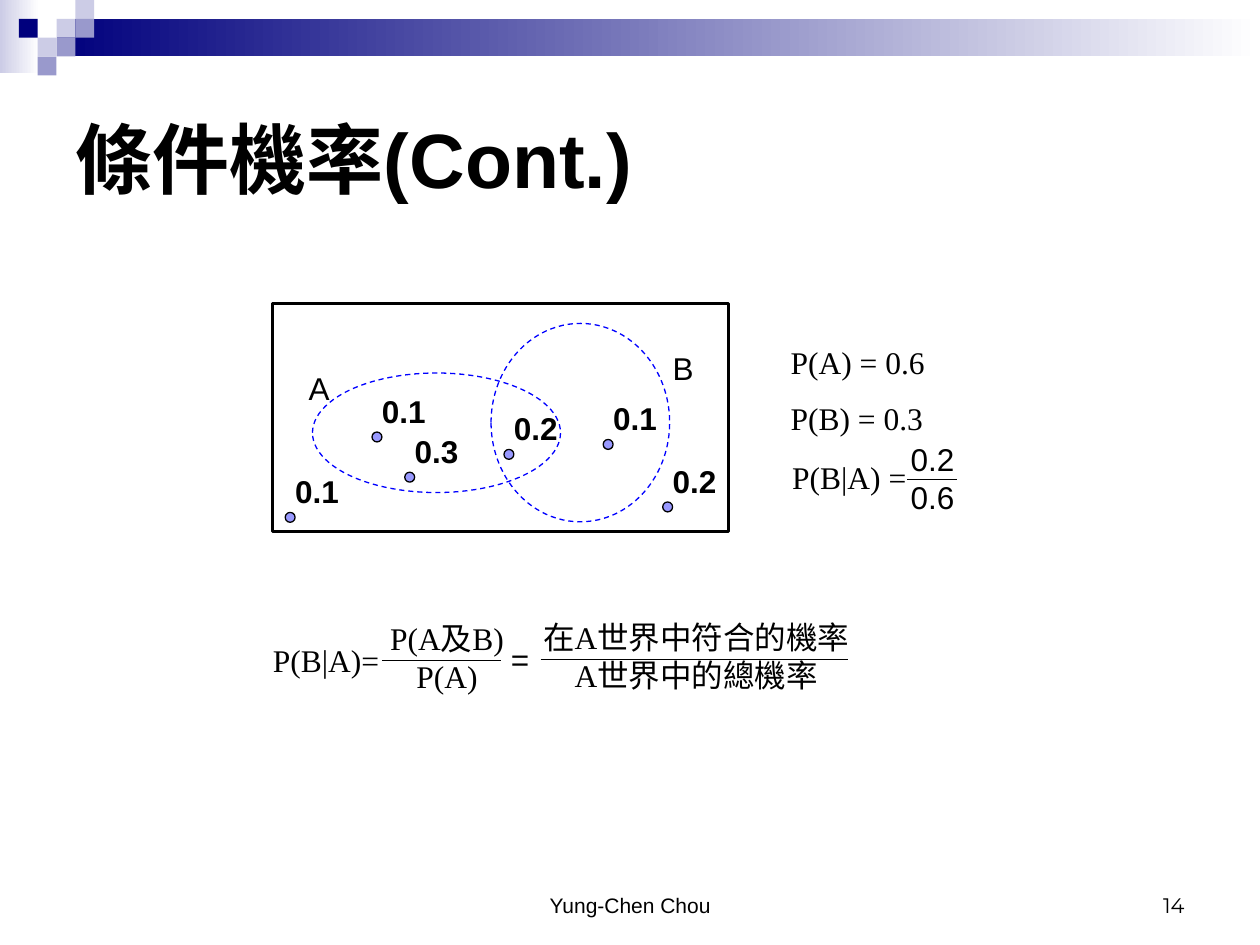
from dataclasses import dataclass

from lxml.etree import SubElement
from pptx import Presentation
from pptx.dml.color import RGBColor as Rgb
from pptx.enum.dml import MSO_LINE_DASH_STYLE as Dash
from pptx.enum.shapes import MSO_CONNECTOR as Connector, MSO_SHAPE as Shape
from pptx.enum.text import MSO_ANCHOR as Anchor, MSO_AUTO_SIZE as AutoSize, PP_ALIGN as Align
from pptx.oxml.ns import qn
from pptx.util import Cm, Pt


@dataclass(frozen=True)
class Theme:
    black: str = "000000"
    white: str = "FFFFFF"
    navy: str = "00007D"
    violet: str = "9999CC"
    lilac: str = "CCCCE6"
    dot: str = "9999FF"
    event: str = "0000FF"
    sans: str = "Arial"
    serif: str = "Times New Roman"
    number: str = "Montserrat"
    title_size: float = 44
    text_size: float = 18
    footer_size: float = 12
    frame_width: float = 1.5
    thin_width: float = 0.75


THEME = Theme()


@dataclass(frozen=True)
class Box:
    """A rectangle in centimetres."""
    left: float
    top: float
    width: float
    height: float = 1.02

    def lengths(self) -> list:
        return [Cm(value) for value in (self.left, self.top, self.width, self.height)]


@dataclass(frozen=True)
class Label:
    text: str
    box: Box
    font: str = THEME.serif
    align: Align = Align.LEFT
    bold: bool = False


@dataclass(frozen=True)
class Fraction:
    label: Label
    bar_left: float
    bar_right: float
    bar_y: float


@dataclass(frozen=True)
class Event:
    name: str
    ellipse: Box
    name_box: Box


@dataclass(frozen=True)
class Outcome:
    probability: str
    left: float
    top: float


CELL = 0.38
CELLS = [  # column, row, colour
    (3, 1, THEME.lilac), (4, 0, THEME.lilac), (4, 1, THEME.violet),
    (2, 2, THEME.lilac), (1, 1, THEME.navy), (3, 2, THEME.violet), (2, 3, THEME.violet),
]
SAMPLE_SPACE = Box(5.49, 6.12, 9.2, 4.6)
EVENTS = [
    Event("A", Box(6.3, 7.52, 5, 2.41), Box(5.97, 7.32, 0.91)),
    Event("B", Box(9.9, 6.52, 3.6, 4), Box(13.31, 6.91, 0.91)),
]
OUTCOMES = [
    Outcome("0.1", 7.5, 8.71), Outcome("0.2", 10.16, 9.06), Outcome("0.3", 8.16, 9.52),
    Outcome("0.1", 12.16, 8.86), Outcome("0.1", 5.75, 10.33), Outcome("0.2", 13.36, 10.12),
]
FORMULAS = [
    Label("P(A) = 0.6", Box(15.69, 6.79, 3.4)),
    Label("P(B) = 0.3", Box(15.69, 7.92, 3.4)),
    Label("P(B|A) =", Box(15.72, 9.11, 3.1)),
    Label("P(B|A)=", Box(5.25, 12.79, 2.9)),
    Label("=", Box(10.05, 12.78, 0.9), THEME.sans),
]
FRACTIONS = [
    Fraction(Label("0.2\n0.6", Box(18.11, 8.74, 1.4, 1.78), THEME.sans), 18.29, 19.3, 9.67),
    Fraction(Label("P(A及B)\nP(A)", Box(7.46, 12.35, 3.1, 1.78), align=Align.CENTER),
             7.7, 10.1, 13.31),
    Fraction(Label("在A世界中符合的機率\nA世界中的總機率", Box(10.54, 12.33, 6.99, 1.78),
                   align=Align.CENTER), 10.9, 17.09, 13.29),
]
FOOTERS = [
    Label("Yung-Chen Chou", Box(8.68, 17.35, 8.05, 1.27), THEME.sans, Align.CENTER),
    Label("14", Box(18.21, 17.35, 5.92, 1.27), THEME.number, Align.RIGHT),
]


def write(frame, label: Label, size: float, frame_format: dict) -> None:
    for name, value in frame_format.items():
        setattr(frame, name, value)
    frame.text = label.text
    font_format = {"name": label.font, "size": Pt(size), "bold": label.bold}
    for para in frame.paragraphs:
        para.alignment = label.align
        for span in para.runs:
            for name, value in font_format.items():
                setattr(span.font, name, value)
            span.font.color.rgb = Rgb.from_string(THEME.black)


def add_label(page, label: Label) -> None:
    frame = page.shapes.add_textbox(*label.box.lengths()).text_frame
    write(frame, label, THEME.text_size, {"word_wrap": False, "auto_size": AutoSize.NONE}
          if label.align == Align.LEFT and label.font == THEME.serif
          else {"word_wrap": False, "auto_size": AutoSize.SHAPE_TO_FIT_TEXT})


def add_figure(page, kind: Shape, box: Box, fill: str = "", line: str = "",
               width: float = THEME.thin_width):
    figure = page.shapes.add_shape(kind, *box.lengths())
    figure.shadow.inherit = False
    if fill:
        figure.fill.solid()
        figure.fill.fore_color.rgb = Rgb.from_string(fill)
    else:
        figure.fill.background()
    if line:
        figure.line.color.rgb = Rgb.from_string(line)
        figure.line.width = Pt(width)
    else:
        figure.line.fill.background()
    return figure


def add_fading_band(page, box: Box, color: str) -> None:
    """Draw a band that fades to white towards the right."""
    fill = add_figure(page, Shape.RECTANGLE, box).fill
    fill.gradient()
    fill.gradient_angle = 0
    for stop, shade in zip(fill.gradient_stops, (color, THEME.white)):
        stop.color.rgb = Rgb.from_string(shade)


def add_event(page, event: Event) -> None:
    ellipse = add_figure(page, Shape.OVAL, event.ellipse, line=THEME.event)
    ellipse.line.dash_style = Dash.DASH
    add_label(page, Label(event.name, event.name_box, THEME.sans))


def add_outcome(page, outcome: Outcome) -> None:
    dot = Box(outcome.left, outcome.top, 0.2, 0.2)
    add_figure(page, Shape.OVAL, dot, THEME.dot, THEME.black)
    label_box = Box(outcome.left - 0.05, outcome.top - 0.94, 1.4)
    add_label(page, Label(outcome.probability, label_box, THEME.sans, bold=True))


def add_fraction(page, fraction: Fraction) -> None:
    add_label(page, fraction.label)
    y = Cm(fraction.bar_y)
    bar = page.shapes.add_connector(
        Connector.STRAIGHT, Cm(fraction.bar_left), y, Cm(fraction.bar_right), y)
    bar.line.color.rgb = Rgb.from_string(THEME.black)
    bar.line.width = Pt(THEME.thin_width)
    SubElement(bar._element.spPr, qn("a:effectLst"))


def add_title(page, label: Label) -> None:
    title = page.shapes.title
    for name, value in zip(("left", "top", "width", "height"), label.box.lengths()):
        setattr(title, name, value)
    write(title.text_frame, label, THEME.title_size,
          {"vertical_anchor": Anchor.MIDDLE, "auto_size": AutoSize.NONE})


def main() -> None:
    deck = Presentation()
    deck.slide_width, deck.slide_height = Cm(25.4), Cm(19.05)
    page = deck.slides.add_slide(deck.slide_layouts[5])

    add_fading_band(page, Box(0, 0, 0.79, 1.47), THEME.lilac)
    add_fading_band(page, Box(3 * CELL, CELL, 24.26, 2 * CELL), THEME.navy)
    for column, row, color in CELLS:
        add_figure(page, Shape.RECTANGLE, Box(column * CELL, row * CELL, CELL, CELL), color)
    add_title(page, Label("條件機率(Cont.)", Box(1.27, 1.27, 22.86, 3.81), THEME.sans, bold=True))

    add_figure(page, Shape.RECTANGLE, SAMPLE_SPACE, line=THEME.black, width=THEME.frame_width)
    for event in EVENTS:
        add_event(page, event)
    for outcome in OUTCOMES:
        add_outcome(page, outcome)
    for formula in FORMULAS:
        add_label(page, formula)
    for fraction in FRACTIONS:
        add_fraction(page, fraction)
    for footer in FOOTERS:
        frame = page.shapes.add_textbox(*footer.box.lengths()).text_frame
        write(frame, footer, THEME.footer_size,
              {"word_wrap": True, "vertical_anchor": Anchor.BOTTOM})
    deck.save("out.pptx")


if __name__ == "__main__":
    main()
